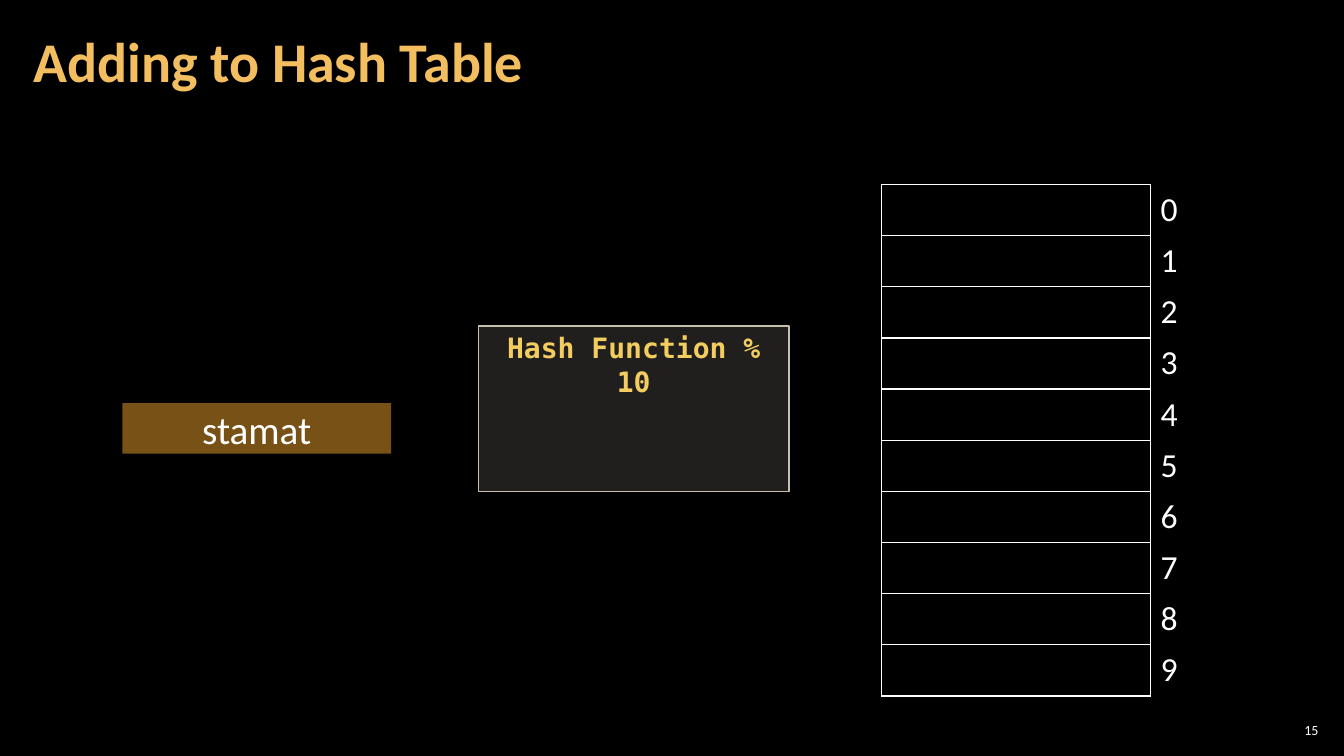
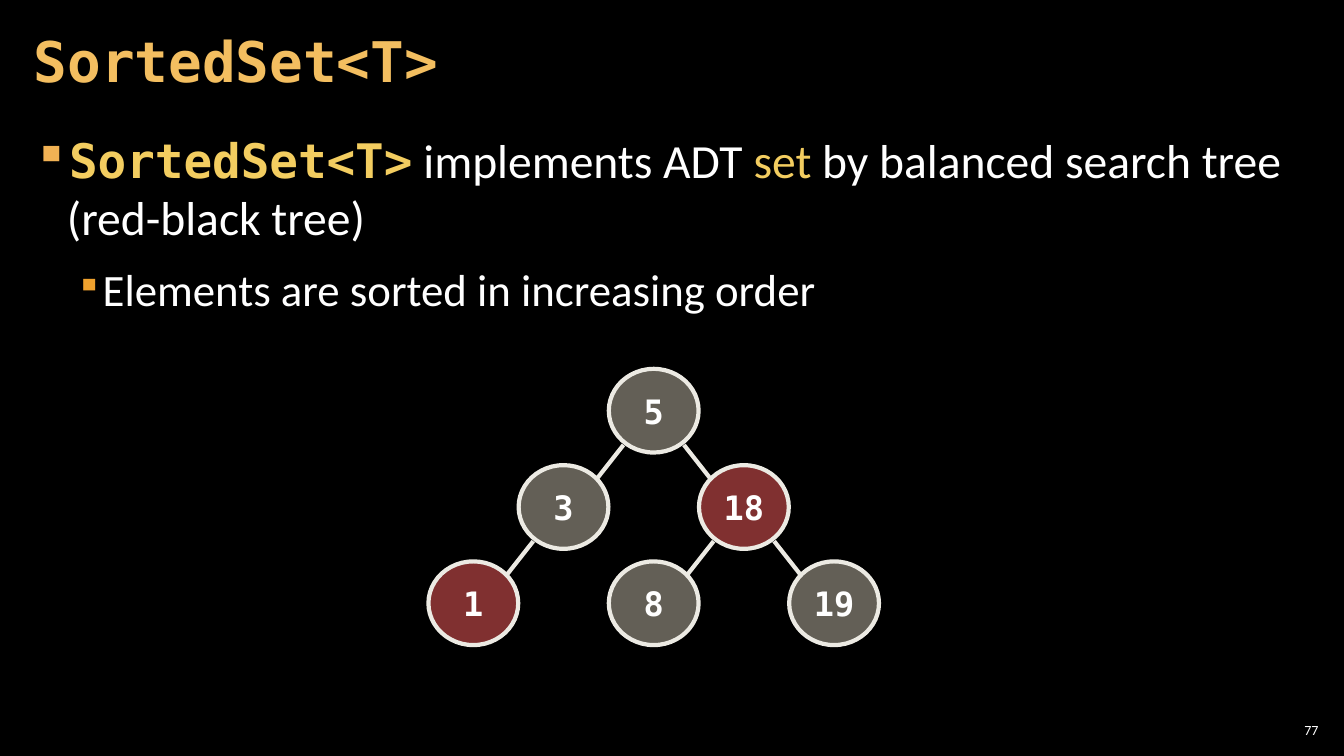
from dataclasses import dataclass

from lxml.etree import SubElement
from pptx import Presentation
from pptx.dml.color import RGBColor
from pptx.enum.shapes import MSO_CONNECTOR, MSO_SHAPE
from pptx.enum.text import MSO_ANCHOR, PP_ALIGN
from pptx.oxml import parse_xml
from pptx.oxml.ns import nsdecls, qn
from pptx.util import Inches, Pt

WIDTH, HEIGHT = Inches(13.33), Inches(7.5)
TITLE_ONLY = 5


@dataclass(frozen=True)
class Theme:
    sans: str = "Calibri"
    mono: str = "DejaVu Sans Mono"
    background: str = "000000"
    text: str = "FFFFFF"
    title: str = "F3BE60"
    accent: str = "F3CD60"
    bullet: str = "F2B254"
    orange: str = "F0A22E"
    panel: str = "D9D5C7"
    stone: str = "C7BFAC"
    red: str = "FF6161"
    outline: str = "ECEAE3"
    title_size: int = 40
    body_size: int = 34
    sub_size: int = 32
    key_size: int = 28
    label_size: int = 24
    code_size: int = 20
    number_size: int = 10


THEME = Theme()
SIDE_MARGINS = {"margin_left": Inches(0.12), "margin_right": Inches(0.12),
                "margin_top": Inches(0.04), "margin_bottom": Inches(0.04)}
NUMBER_MARGINS = {side: Inches(0.04) for side in SIDE_MARGINS}


# Measures: percentages of the slide's width and height
def across(percent):
    return round(WIDTH * percent / 100)


def down(percent):
    return round(HEIGHT * percent / 100)


def area(left, top, width, height):
    return across(left), down(top), across(width), down(height)


# Formatting
def apply(target, values):
    for name, value in values.items():
        setattr(target, name, value)


def style(size, color=THEME.text, name=THEME.sans, bold=False):
    return {"size": Pt(size), "name": name, "bold": bold}, color


def write(paragraph, *runs):
    for text, (values, color) in runs:
        run = paragraph.add_run()
        run.text = text
        apply(run.font, values)
        run.font.color.rgb = RGBColor.from_string(color)


def add_text(slide, box, frame_values):
    frame = slide.shapes.add_textbox(*box).text_frame
    apply(frame, {"word_wrap": True, **frame_values})
    return frame


def add_block(slide, preset, box, fill, opacity, text, text_style, outline=None,
              line_width=1, anchor=MSO_ANCHOR.MIDDLE, wrap=True):
    block = slide.shapes.add_shape(preset, *box)
    block.shadow.inherit = False
    block.fill.solid()
    block.fill.fore_color.rgb = RGBColor.from_string(fill)
    color = block._element.spPr.find(qn("a:solidFill"))[0]
    SubElement(color, qn("a:alpha")).set("val", str(opacity * 1000))
    if outline:
        block.line.color.rgb = RGBColor.from_string(outline)
        block.line.width = Pt(line_width)
    else:
        block.line.fill.background()
    apply(block.text_frame, {"vertical_anchor": anchor, "word_wrap": wrap})
    paragraph = block.text_frame.paragraphs[0]
    paragraph.alignment = PP_ALIGN.CENTER
    write(paragraph, (text, text_style))


# Shared frame: title and slide number
def add_slide(deck, heading, number, heading_font=THEME.sans):
    slide = deck.slides.add_slide(deck.slide_layouts[TITLE_ONLY])
    title = slide.shapes.title
    apply(title, dict(zip(("left", "top", "width", "height"),
                          area(1.6, 0.5, 78.5, 16.1))))
    apply(title.text_frame, {"vertical_anchor": MSO_ANCHOR.MIDDLE,
                             "word_wrap": True, **SIDE_MARGINS})
    paragraph = title.text_frame.paragraphs[0]
    apply(paragraph, {"alignment": PP_ALIGN.LEFT, "line_spacing": 0.9})
    write(paragraph, (heading, style(THEME.title_size, THEME.title, heading_font, True)))

    footer = add_text(slide, area(94.9, 95.2, 3.5, 2.8),
                      {"vertical_anchor": MSO_ANCHOR.MIDDLE, **NUMBER_MARGINS})
    footer.paragraphs[0].alignment = PP_ALIGN.RIGHT
    write(footer.paragraphs[0], (number, style(THEME.number_size)))
    return slide


# Hash table
def set_borders(cell, visible):
    properties = cell._tc.get_or_add_tcPr()
    for index, side in enumerate(("L", "R", "T", "B")):
        paint = (f'<a:solidFill><a:srgbClr val="{THEME.text}"/></a:solidFill>'
                 if side in visible else "<a:noFill/>")
        properties.insert(index, parse_xml(
            f'<a:ln{side} {nsdecls("a")} w="{Pt(1)}">{paint}</a:ln{side}>'))


def add_buckets(slide, count):
    table = slide.shapes.add_table(count, 2, *area(65.6, 24.4, 24.2, count * 6.77)).table
    apply(table, {"first_row": False, "horz_banding": False})
    for column, share in zip(table.columns, (20, 4.2)):
        column.width = across(share)
    for index, row in enumerate(table.rows):
        bucket, label = row.cells
        for cell, borders in ((bucket, "LRTB"), (label, "L")):
            cell.fill.background()
            set_borders(cell, borders)
        write(label.text_frame.paragraphs[0], (str(index), style(THEME.label_size)))


# Bulleted text
def add_bullet(paragraph, level, left, hanging, color, percent, *runs):
    paragraph.level = level
    properties = paragraph._p.get_or_add_pPr()
    properties.set("marL", str(Inches(left)))
    properties.set("indent", str(-Inches(hanging)))
    tint = SubElement(properties, qn("a:buClr"))
    SubElement(tint, qn("a:srgbClr")).set("val", color)
    SubElement(properties, qn("a:buSzPct")).set("val", str(percent * 1000))
    SubElement(properties, qn("a:buChar")).set("char", "▪")
    apply(paragraph, {"space_before": Pt(6 if level else 0), "space_after": Pt(6)})
    write(paragraph, *runs)


# Search tree
def node_center(column, row):
    return 35.22 + column * 6.71, 54.33 + row * 12.73


def add_node(slide, value, column, row, color):
    x, y = node_center(column, row)
    width, height = 6.68, 11.07
    add_block(slide, MSO_SHAPE.OVAL, area(x - width / 2, y - height / 2, width, height),
              color, 50, str(value), style(THEME.label_size, name=THEME.mono, bold=True),
              outline=THEME.outline, line_width=3, wrap=False)


def add_branch(slide, parent, child):
    (x1, y1), (x2, y2) = node_center(*parent), node_center(*child)
    side = 1 if x2 > x1 else -1
    branch = slide.shapes.add_connector(
        MSO_CONNECTOR.STRAIGHT, across(x1 + side * 2.25), down(y1 + 4.53),
        across(x2 - side * 2.48), down(y2 - 3.73))
    branch.line.color.rgb = RGBColor.from_string(THEME.outline)
    branch.line.width = Pt(3)
    SubElement(branch._element.spPr, qn("a:effectLst"))


def build_hash_table(deck):
    slide = add_slide(deck, "Adding to Hash Table", "15")
    add_buckets(slide, 10)
    add_block(slide, MSO_SHAPE.FLOWCHART_PROCESS, area(9.1, 53.33, 20, 6.67),
              THEME.orange, 50, "stamat", style(THEME.key_size))
    add_block(slide, MSO_SHAPE.RECTANGLE, area(35.6, 43.1, 23.1, 21.9),
              THEME.panel, 15, "Hash Function % 10",
              style(THEME.code_size, THEME.accent, THEME.mono, True),
              outline=THEME.stone, anchor=MSO_ANCHOR.TOP)


def build_sorted_set(deck):
    slide = add_slide(deck, "SortedSet<T>", "77", THEME.mono)
    body = add_text(slide, area(1.6, 16.8, 96.85, 81.2), SIDE_MARGINS)
    plain = style(THEME.body_size)
    add_bullet(body.paragraphs[0], 0, 0.33, 0.33, THEME.bullet, 100,
               ("SortedSet<T>", style(THEME.body_size, THEME.accent, THEME.mono, True)),
               (" implements ADT ", plain),
               ("set", style(THEME.body_size, THEME.accent)),
               (" by balanced search tree (red-black tree)", plain))
    add_bullet(body.add_paragraph(), 1, 0.67, 0.25, THEME.orange, 80,
               ("Elements are sorted in increasing order", style(THEME.sub_size)))

    # Value: column, row, colour
    nodes = {5: (2, 0, THEME.stone), 3: (1, 1, THEME.stone), 18: (3, 1, THEME.red),
             1: (0, 2, THEME.red), 8: (2, 2, THEME.stone), 19: (4, 2, THEME.stone)}
    for value, place in nodes.items():
        add_node(slide, value, *place)
    for parent, child in ((5, 3), (5, 18), (3, 1), (18, 8), (18, 19)):
        add_branch(slide, nodes[parent][:2], nodes[child][:2])


def main():
    deck = Presentation()
    apply(deck, {"slide_width": WIDTH, "slide_height": HEIGHT})
    backdrop = deck.slide_master.background.fill
    backdrop.solid()
    backdrop.fore_color.rgb = RGBColor.from_string(THEME.background)
    build_hash_table(deck)
    build_sorted_set(deck)
    deck.save("out.pptx")


if __name__ == "__main__":
    main()
